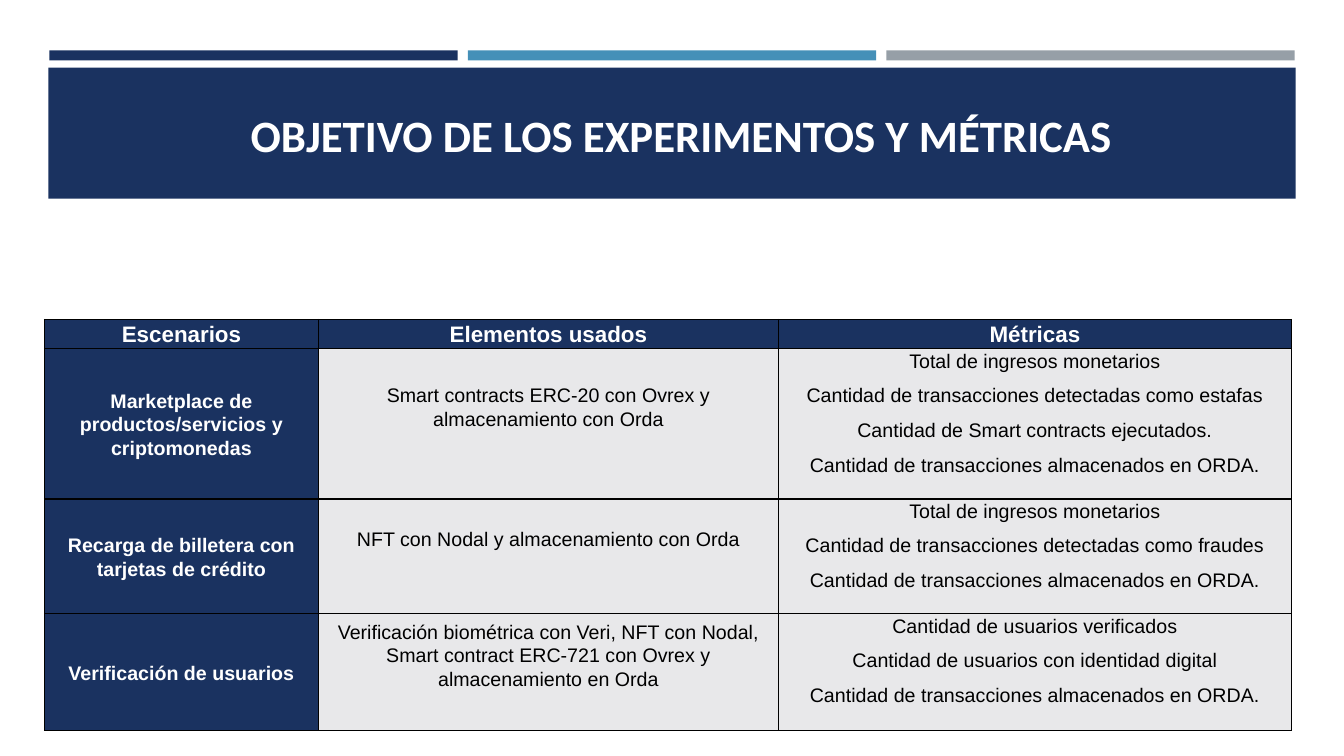
from pptx import Presentation
from pptx.dml.color import RGBColor
from pptx.enum import shapes, text
from pptx.oxml import parse_xml
from pptx.oxml.ns import nsdecls
from pptx.util import Inches, Pt

NAVY = RGBColor(0x1A, 0x32, 0x60)
BLUE = RGBColor(0x45, 0x90, 0xB8)
GREY = RGBColor(0x96, 0x9F, 0xA7)
PALE = RGBColor(0xE8, 0xE8, 0xEA)
WHITE = RGBColor(0xFF, 0xFF, 0xFF)
BLACK = RGBColor(0, 0, 0)

HEADERS = ["Escenarios", "Elementos usados", "Métricas"]
SCENARIOS = [
    ("Marketplace de productos/servicios y criptomonedas",
     "Smart contracts ERC-20 con Ovrex y almacenamiento con Orda",
     ["Total de ingresos monetarios",
      "Cantidad de transacciones detectadas como estafas",
      "Cantidad de Smart contracts ejecutados.",
      "Cantidad de transacciones almacenados en ORDA."]),
    ("Recarga de billetera con tarjetas de crédito",
     "NFT con Nodal y almacenamiento con Orda",
     ["Total de ingresos monetarios",
      "Cantidad de transacciones detectadas como fraudes",
      "Cantidad de transacciones almacenados en ORDA."]),
    ("Verificación de usuarios",
     "Verificación biométrica con Veri, NFT con Nodal, "
     "Smart contract ERC-721 con Ovrex y almacenamiento en Orda",
     ["Cantidad de usuarios verificados",
      "Cantidad de usuarios con identidad digital",
      "Cantidad de transacciones almacenados en ORDA."]),
]


class SlideBuilder:
    """Holds the current slide and the style shared by its elements."""

    title_font, body_font = "Calibri", "Arial"

    def __init__(self, prs):
        self.s = prs.slides.add_slide(prs.slide_layouts[5])

    def bar(self, left, top, width, height, color):
        sp = self.s.shapes.add_shape(
            shapes.MSO_SHAPE.RECTANGLE,
            Inches(left), Inches(top), Inches(width), Inches(height))
        sp.shadow.inherit = False
        sp.fill.solid()
        sp.fill.fore_color.rgb = color
        sp.line.fill.background()

    def title(self, words, left, top, width, height):
        """Format the title placeholder and bring it in front of the banner."""
        sp = self.s.shapes.title
        sp.left, sp.top = Inches(left), Inches(top)
        sp.width, sp.height = Inches(width), Inches(height)
        tf = sp.text_frame
        tf.text = words
        tf.vertical_anchor = text.MSO_ANCHOR.BOTTOM
        p = tf.paragraphs[0]
        p.alignment = text.PP_ALIGN.CENTER
        self.style(p.font, self.title_font, 32, WHITE, True)
        self.s.shapes._spTree.append(sp._element)

    def table(self, left, top, widths, heights):
        tbl = self.s.shapes.add_table(
            len(heights), len(widths), Inches(left), Inches(top),
            Inches(sum(widths)), Inches(sum(heights))).table
        for col, width in zip(tbl.columns, widths):
            col.width = Inches(width)
        for row, height in zip(tbl.rows, heights):
            row.height = Inches(height)
        return tbl

    def cell(self, cell, lines, size=14, heading=False, middle=False, inset=0.01, bottom=0):
        cell.margin_left = cell.margin_right = cell.margin_top = Inches(inset)
        cell.margin_bottom = Inches(bottom)
        cell.vertical_anchor = text.MSO_ANCHOR.MIDDLE if middle else text.MSO_ANCHOR.TOP
        self.borders(cell)
        cell.fill.solid()
        cell.fill.fore_color.rgb = NAVY if heading else PALE
        tf = cell.text_frame
        tf.text = "\n".join(lines)
        for p in tf.paragraphs:
            p.alignment = text.PP_ALIGN.CENTER
            p.line_spacing = 1.07
            p.space_after = Pt(8)
            self.style(p.font, self.body_font, size, WHITE if heading else BLACK, heading)

    def borders(self, cell):
        tc_pr = cell._tc.get_or_add_tcPr()
        for side in ("lnL", "lnR", "lnT", "lnB"):
            tc_pr.append(parse_xml(
                f'<a:{side} {nsdecls("a")} w="{Pt(1)}"><a:solidFill>'
                f'<a:srgbClr val="{BLACK}"/></a:solidFill></a:{side}>'))

    def style(self, font, name, size, color, bold):
        font.name, font.size, font.bold = name, Pt(size), bold
        font.color.rgb = color


def main():
    prs = Presentation()
    prs.slide_width, prs.slide_height = Inches(13.33), Inches(7.5)
    b = SlideBuilder(prs)

    for i, color in enumerate([NAVY, BLUE, GREY]):
        b.bar(0.49 + 4.15 * i, 0.5, 4.05, 0.1, color)
    b.bar(0.48, 0.67, 12.37, 1.3, NAVY)
    b.title("OBJETIVO DE LOS EXPERIMENTOS Y MÉTRICAS", 0.72, 0.81, 12.08, 0.84)

    tbl = b.table(0.44, 3.17, [2.72, 4.56, 5.09], [0.29, 1.49, 1.14, 1.16])
    for col, header in enumerate(HEADERS):
        b.cell(tbl.cell(0, col), [header], size=16, heading=True)
    for row, (scenario, elements, metrics) in enumerate(SCENARIOS, start=1):
        b.cell(tbl.cell(row, 0), [scenario], heading=True, middle=True)
        b.cell(tbl.cell(row, 1), [elements], middle=True, bottom=0.35)
        b.cell(tbl.cell(row, 2), metrics, inset=0)

    prs.save("out.pptx")


if __name__ == "__main__":
    main()
